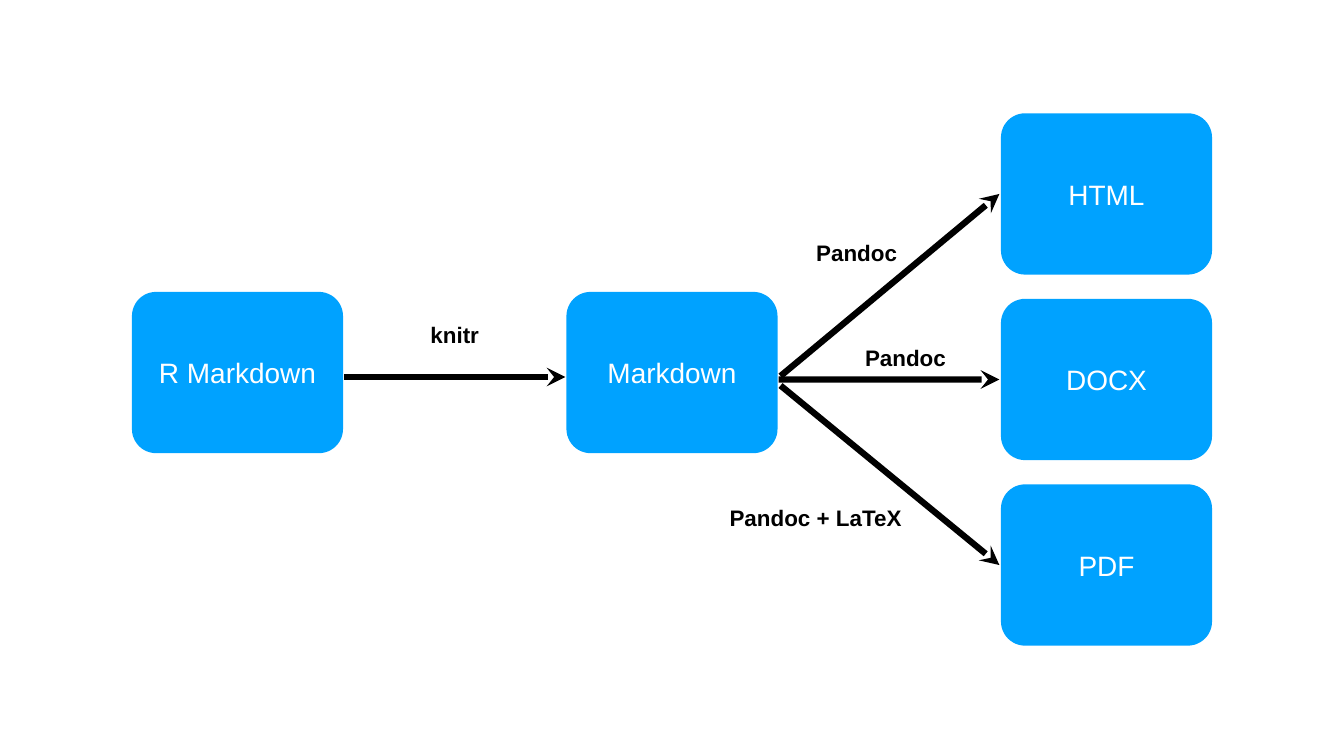
from lxml.etree import SubElement
from pptx import Presentation
from pptx.dml.color import RGBColor
from pptx.enum.shapes import MSO_CONNECTOR, MSO_SHAPE
from pptx.enum.text import MSO_ANCHOR, MSO_AUTO_SIZE, PP_ALIGN
from pptx.oxml.ns import qn
from pptx.util import Cm, Pt

BLUE, BLACK, WHITE = "00A2FF", "000000", "FFFFFF"
BOX_W, BOX_H = 10.64, 8.13
LEFT, COLUMN_STEP = 6.65, 21.9
MIDDLE_TOP = 14.71
OUTPUT_TOP, OUTPUT_STEP = 5.71, 9.35
LABEL_H = 1.75


def color(value):
    return RGBColor.from_string(value)


def set_text(sp, text, size, text_color, bold=False):
    tf = sp.text_frame
    tf.vertical_anchor = MSO_ANCHOR.MIDDLE
    tf.margin_left = tf.margin_right = tf.margin_top = tf.margin_bottom = Cm(0.2)
    p = tf.paragraphs[0]
    p.alignment = PP_ALIGN.CENTER
    r = p.add_run()
    r.text = text
    r.font.name = "Arial"
    r.font.size = Pt(size)
    r.font.bold = bold
    r.font.color.rgb = color(text_color)
    return tf


def add_box(s, text, column, top):
    sp = s.shapes.add_shape(MSO_SHAPE.ROUNDED_RECTANGLE,
                            Cm(LEFT + column * COLUMN_STEP), Cm(top),
                            Cm(BOX_W), Cm(BOX_H))
    sp.adjustments[0] = 0.15
    sp.shadow.inherit = False
    sp.fill.solid()
    sp.fill.fore_color.rgb = color(BLUE)
    sp.line.fill.background()
    set_text(sp, text, 40, WHITE).word_wrap = True


def add_arrow(s, x1, y1, x2, y2):
    sp = s.shapes.add_connector(MSO_CONNECTOR.STRAIGHT,
                                Cm(x1), Cm(y1), Cm(x2), Cm(y2))
    sp.line.color.rgb = color(BLACK)
    sp.line.width = Pt(9)
    SubElement(sp.line._get_or_add_ln(), qn("a:tailEnd"), type="stealth")
    SubElement(sp._element.spPr, qn("a:effectLst"))


def add_label(s, text, center, top, width):
    sp = s.shapes.add_textbox(Cm(center - width / 2), Cm(top),
                              Cm(width), Cm(LABEL_H))
    tf = set_text(sp, text, 32, BLACK, bold=True)
    tf.word_wrap = False
    tf.auto_size = MSO_AUTO_SIZE.SHAPE_TO_FIT_TEXT


def main():
    prs = Presentation()
    prs.slide_width, prs.slide_height = Cm(67.74), Cm(38.1)
    s = prs.slides.add_slide(prs.slide_layouts[6])

    for column, text in enumerate(["R Markdown", "Markdown"]):
        add_box(s, text, column, MIDDLE_TOP)
    for row, text in enumerate(["HTML", "DOCX", "PDF"]):
        add_box(s, text, 2, OUTPUT_TOP + row * OUTPUT_STEP)

    add_arrow(s, 17.35, 19, 28.5, 19)
    for row, (x, y) in enumerate([(39.34, 18.95), (39.24, 19.13), (39.34, 19.43)]):
        add_arrow(s, x, y, 50.37, OUTPUT_TOP + row * OUTPUT_STEP + BOX_H / 2)

    add_label(s, "knitr", 22.92, 16, 2.87)
    add_label(s, "Pandoc", 43.18, 11.84, 4.52)
    add_label(s, "Pandoc", 45.64, 17.15, 4.52)
    add_label(s, "Pandoc + LaTeX", 41.11, 25.22, 9.12)

    prs.save("out.pptx")


if __name__ == "__main__":
    main()
